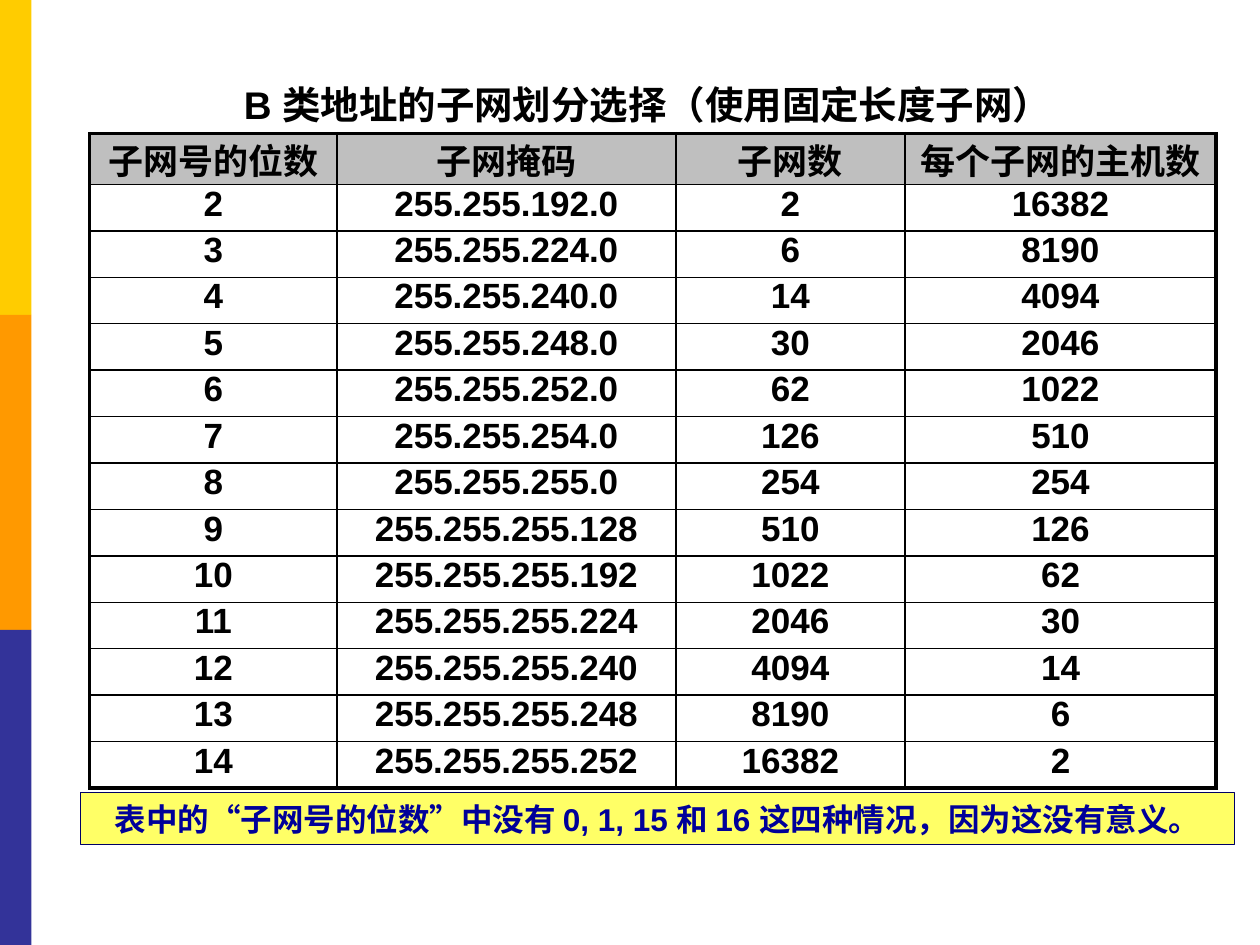
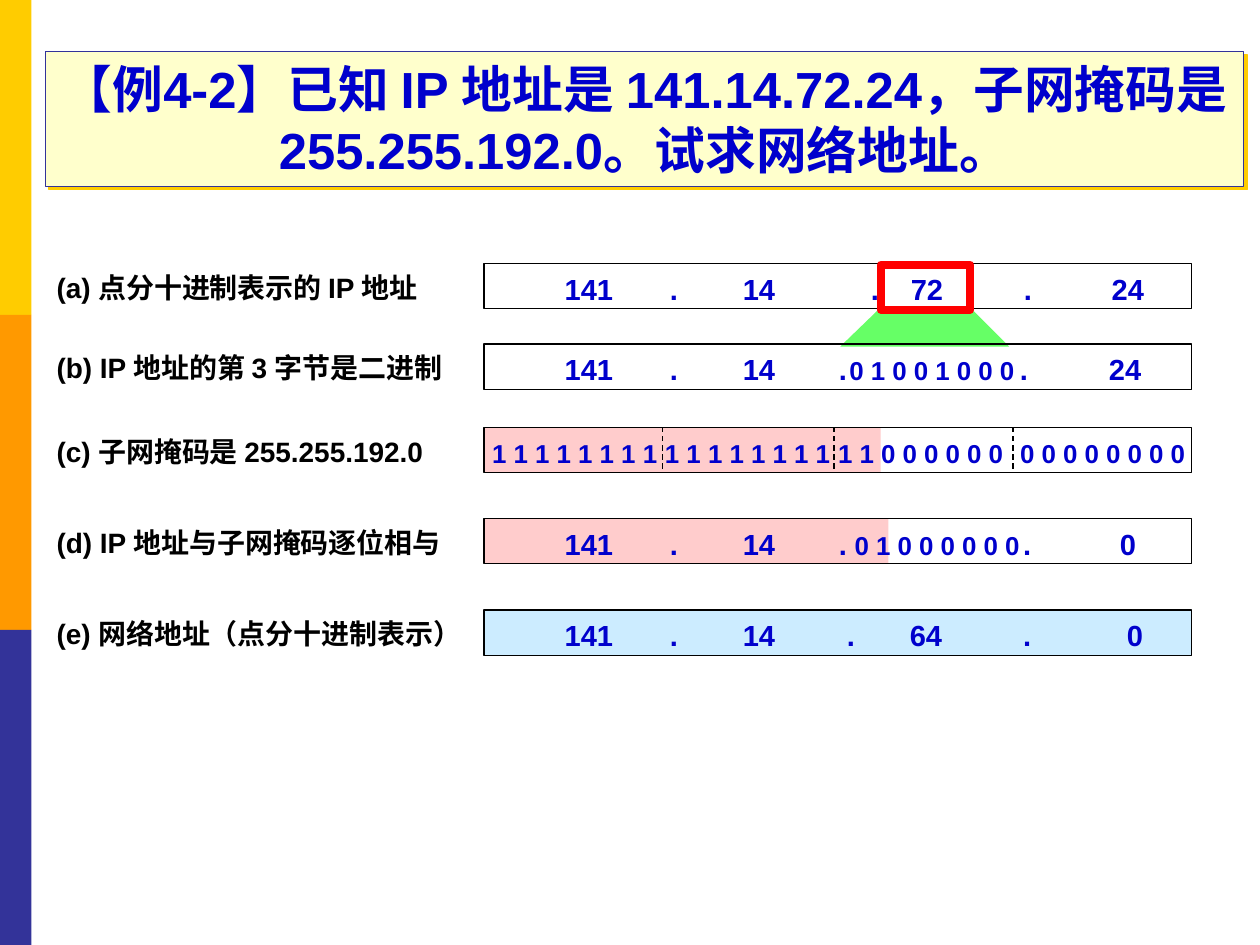
from dataclasses import dataclass
from typing import NamedTuple

from lxml import etree
from pptx import Presentation
from pptx.dml.color import RGBColor
from pptx.enum.dml import MSO_LINE
from pptx.enum.shapes import MSO_CONNECTOR, MSO_SHAPE
from pptx.enum.text import MSO_ANCHOR, MSO_AUTO_SIZE, PP_ALIGN
from pptx.oxml.ns import qn
from pptx.util import Pt

RECTANGLE = MSO_SHAPE.RECTANGLE
STRAIGHT = MSO_CONNECTOR.STRAIGHT
DASH = MSO_LINE.DASH
MIDDLE, BOTTOM = MSO_ANCHOR.MIDDLE, MSO_ANCHOR.BOTTOM
LEFT, CENTER = PP_ALIGN.LEFT, PP_ALIGN.CENTER
NO_AUTOFIT = MSO_AUTO_SIZE.NONE

FONT = "Arial"
BLACK = RGBColor(0x00, 0x00, 0x00)
RED = RGBColor(0xFF, 0x00, 0x00)
GOLD = RGBColor(0xFF, 0xCC, 0x00)
ORANGE = RGBColor(0xFF, 0x99, 0x00)
INDIGO = RGBColor(0x33, 0x33, 0x99)
BLUE = RGBColor(0x00, 0x00, 0xCC)
NOTE_BLUE = RGBColor(0x00, 0x00, 0x99)
NOTE_EDGE = RGBColor(0x00, 0x00, 0x66)
NOTE_YELLOW = RGBColor(0xFF, 0xFF, 0x66)
TITLE_YELLOW = RGBColor(0xFF, 0xFF, 0xCC)
HEADER_GRAY = RGBColor(0xBF, 0xBF, 0xBF)
PINK = RGBColor(0xFF, 0xCC, 0xCC)
SKY = RGBColor(0xCC, 0xEC, 0xFF)
GREEN = RGBColor(0x66, 0xFF, 0x66)

SLIDE_WIDTH, SLIDE_HEIGHT = 720, 540
BAND_WIDTH = 18
BAR_LEFT, BAR_WIDTH, BAR_HEIGHT = 276.5, 404.6, 26
LABEL_LEFT, LABEL_WIDTH = 25.2, 250
DECIMAL_SIZE, BIT_SIZE = 16.6, 14.8
THIN, THICK = 1, 2.25

HEADERS = ["子网号的位数", "子网掩码", "子网数", "每个子网的主机数"]
COLUMN_WIDTHS = [141.2, 193.8, 130.8, 177.9]
ROW_HEIGHT = 26.55


class Box(NamedTuple):
    left: float
    top: float
    width: float
    height: float

    def points(self) -> list:
        return [Pt(length) for length in self]


class Mark(NamedTuple):
    """A piece of address text at a tab stop, measured from the bar's left edge."""
    text: str
    stop: float


@dataclass
class AddressRow:
    label: str
    top: float
    marks: list[Mark]
    fill: RGBColor | None = None
    masked_width: float = 0
    tab_kind: str = "ctr"


def bits(octet: int) -> str:
    return " ".join(f"{octet:08b}")


def address_marks(third: str, fourth: str, dot: float, third_stop: float,
                  last_dot: float, fourth_stop: float) -> list[Mark]:
    """The first two octets are the same in every address row."""
    return [Mark("141", 60), Mark(".", 108.6), Mark("14", 157.2), Mark(".", dot),
            Mark(third, third_stop), Mark(".", last_dot), Mark(fourth, fourth_stop)]


ADDRESS_ROWS = [
    AddressRow("(a) 点分十进制表示的 IP 地址", 150.5,
               address_marks("72", "24", 223.5, 253.2, 310.9, 368)),
    AddressRow("(b) IP 地址的第 3 字节是二进制", 196.5,
               address_marks(bits(72), "24", 205.2, 256, 308.6, 366.4)),
    AddressRow("(c) 子网掩码是 255.255.192.0", 244.2,
               [Mark(bits(octet), stop) for octet, stop in
                zip((255, 255, 192, 0), (4.7, 103.5, 202.4, 306.4))],
               masked_width=226, tab_kind="l"),
    AddressRow("(d) IP 地址与子网掩码逐位相与", 296.2,
               address_marks(bits(64), "0", 205.2, 259, 310.4, 368),
               masked_width=230.5),
    AddressRow("(e) 网络地址（点分十进制表示）", 348.5,
               address_marks("64", "0", 209.8, 252.6, 310.4, 372), fill=SKY),
]


def set_font(paragraph, size: float, color: RGBColor) -> None:
    font = paragraph.font
    font.name, font.size, font.bold = FONT, Pt(size), True
    font.color.rgb = color


def write_text(shape, text: str, size: float, color: RGBColor,
               alignment=CENTER, anchor=MIDDLE) -> None:
    frame = shape.text_frame
    frame.word_wrap, frame.auto_size = True, NO_AUTOFIT
    frame.vertical_anchor = anchor
    frame.text = text
    paragraph = frame.paragraphs[0]
    paragraph.alignment = alignment
    set_font(paragraph, size, color)


def paint(shape, fill: RGBColor | None, line: RGBColor | None, width: float) -> None:
    if fill is None:
        shape.fill.background()
    else:
        shape.fill.solid()
        shape.fill.fore_color.rgb = fill
    if line is None:
        shape.line.fill.background()
    else:
        shape.line.color.rgb = line
        shape.line.width = Pt(width)


def add_rectangle(slide, box: Box, fill: RGBColor | None = None,
                  line: RGBColor | None = None, width: float = 0.75):
    shape = slide.shapes.add_shape(RECTANGLE, *box.points())
    shape.shadow.inherit = False
    paint(shape, fill, line, width)
    return shape


def place_title(slide, text: str, box: Box, size: float, color: RGBColor,
                anchor=MIDDLE):
    title = slide.shapes.title
    title.left, title.top, title.width, title.height = box.points()
    write_text(title, text, size, color, anchor=anchor)
    return title


def add_master_bands(presentation, slide) -> None:
    """Draw the left bands on a slide, then move them to the slide master."""
    height = SLIDE_HEIGHT / 3
    for index, color in enumerate((GOLD, ORANGE, INDIGO)):
        band = add_rectangle(slide, Box(0, index * height, BAND_WIDTH, height), color)
        band.element.nvSpPr.cNvPr.id = 100 + index
        presentation.slide_master.shapes.element.insert(2 + index, band.element)


def add_color(parent, color: RGBColor) -> None:
    etree.SubElement(parent, qn("a:srgbClr"), val=str(color))


def set_borders(cell, widths: dict[str, float]) -> None:
    properties = cell._tc.get_or_add_tcPr()
    for side, width in widths.items():
        line = etree.SubElement(properties, qn(f"a:ln{side}"), w=str(Pt(width)))
        add_color(etree.SubElement(line, qn("a:solidFill")), BLACK)


def subnet_rows() -> list[list[str]]:
    """Subnet bits, mask, subnet count and host count for a class B network."""
    rows = []
    for count in range(2, 15):
        mask = (0xFFFF << (16 - count)) & 0xFFFF
        rows.append([str(count), f"255.255.{mask >> 8}.{mask & 255}",
                     str(2 ** count - 2), str(2 ** (16 - count) - 2)])
    return rows


def add_subnet_table(slide) -> None:
    rows = [HEADERS] + subnet_rows()
    box = Box(51.3, 76.3, sum(COLUMN_WIDTHS), ROW_HEIGHT * len(rows))
    table = slide.shapes.add_table(len(rows), len(HEADERS), *box.points()).table
    table.first_row = table.horz_banding = False
    for column, width in zip(table.columns, COLUMN_WIDTHS):
        column.width = Pt(width)
    last_row, last_column = len(rows) - 1, len(HEADERS) - 1
    for row_index, values in enumerate(rows):
        table.rows[row_index].height = Pt(ROW_HEIGHT)
        for column_index, value in enumerate(values):
            cell = table.cell(row_index, column_index)
            cell.margin_left = cell.margin_right = Pt(5)
            cell.margin_top = cell.margin_bottom = 0
            cell.text = value
            paragraph = cell.text_frame.paragraphs[0]
            paragraph.alignment = CENTER
            set_font(paragraph, 20, BLACK)
            set_borders(cell, {
                "L": THICK if column_index == 0 else THIN,
                "R": THICK if column_index == last_column else THIN,
                "T": THICK if row_index == 0 else THIN,
                "B": THICK if row_index == last_row else THIN})
            if row_index == 0:
                cell.fill.solid()
                cell.fill.fore_color.rgb = HEADER_GRAY
            else:
                cell.fill.background()


def build_subnet_slide(slide) -> None:
    place_title(slide, "B 类地址的子网划分选择（使用固定长度子网）",
                Box(93, 42.5, 554, 34), 22, BLACK)
    add_subnet_table(slide)
    note = add_rectangle(slide, Box(46, 453, 659.5, 29.5), NOTE_YELLOW, NOTE_EDGE)
    write_text(note, "表中的“子网号的位数”中没有 0, 1, 15 和 16 这四种情况，因为这没有意义。",
               18, NOTE_BLUE)


def add_title_shadow(title) -> None:
    effects = etree.SubElement(title.element.spPr, qn("a:effectLst"))
    shadow = etree.SubElement(effects, qn("a:outerShdw"), dist=str(Pt(2.8)),
                              dir="2700000", algn="ctr", rotWithShape="0")
    add_color(shadow, GOLD)


def write_marks(bar, row: AddressRow) -> None:
    frame = bar.text_frame
    frame.word_wrap, frame.vertical_anchor = True, MIDDLE
    frame.margin_left = frame.margin_right = frame.margin_bottom = 0
    frame.margin_top = Pt(3)
    paragraph = frame.paragraphs[0]
    paragraph.alignment = LEFT
    stops = etree.SubElement(paragraph._p.get_or_add_pPr(), qn("a:tabLst"))
    for mark in row.marks:
        etree.SubElement(stops, qn("a:tab"), pos=str(Pt(mark.stop)), algn=row.tab_kind)
    set_font(paragraph, DECIMAL_SIZE, BLUE)
    for mark in row.marks:
        run = paragraph.add_run()
        run.text = "\t" + mark.text
        if " " in mark.text:
            run.font.size = Pt(BIT_SIZE)


def add_address_row(slide, row: AddressRow) -> None:
    label = slide.shapes.add_textbox(
        *Box(LABEL_LEFT, row.top, LABEL_WIDTH, BAR_HEIGHT + 1).points())
    write_text(label, row.label, 16, BLACK, LEFT)
    if row.masked_width:
        add_rectangle(slide, Box(BAR_LEFT + 0.7, row.top + 0.5, row.masked_width,
                                 BAR_HEIGHT - 1), PINK)
    bar = add_rectangle(slide, Box(BAR_LEFT, row.top, BAR_WIDTH, BAR_HEIGHT),
                        row.fill, BLACK)
    write_marks(bar, row)


def add_octet_divider(slide, x: float, top: float) -> None:
    divider = slide.shapes.add_connector(STRAIGHT, Pt(x), Pt(top), Pt(x),
                                         Pt(top + BAR_HEIGHT))
    divider.line.color.rgb = BLACK
    divider.line.width = Pt(0.75)
    divider.line.dash_style = DASH
    etree.SubElement(divider.element.spPr, qn("a:effectLst"))


def add_expansion(slide) -> None:
    """The green shape that widens from the third octet to its bits."""
    corners = [(503.3, 175.7), (554.4, 175.7), (576.7, 198), (480.2, 198)]
    first, *others = [(Pt(x), Pt(y)) for x, y in corners]
    builder = slide.shapes.build_freeform(*first)
    builder.add_line_segments(others, close=True)
    shape = builder.convert_to_shape()
    shape.shadow.inherit = False
    paint(shape, GREEN, None, 0)


def build_example_slide(slide) -> None:
    title = place_title(
        slide, "【例4-2】已知 IP 地址是 141.14.72.24，子网掩码是 255.255.192.0。试求网络地址。",
        Box(26, 29.5, 684.7, 77), 29, BLUE, BOTTOM)
    paint(title, TITLE_YELLOW, INDIGO, 0.75)
    add_title_shadow(title)
    add_expansion(slide)
    for row in ADDRESS_ROWS:
        add_address_row(slide, row)
    for x in (378.7, 476.6, 578.9):
        add_octet_divider(slide, x, ADDRESS_ROWS[2].top)
    add_rectangle(slide, Box(503.3, 151.2, 51.1, BAR_HEIGHT), line=RED, width=4.5)


def main() -> None:
    presentation = Presentation()
    presentation.slide_width, presentation.slide_height = Pt(SLIDE_WIDTH), Pt(SLIDE_HEIGHT)
    title_only = presentation.slide_layouts[5]
    subnet_slide = presentation.slides.add_slide(title_only)
    add_master_bands(presentation, subnet_slide)
    build_subnet_slide(subnet_slide)
    build_example_slide(presentation.slides.add_slide(title_only))
    presentation.save("out.pptx")


if __name__ == "__main__":
    main()
